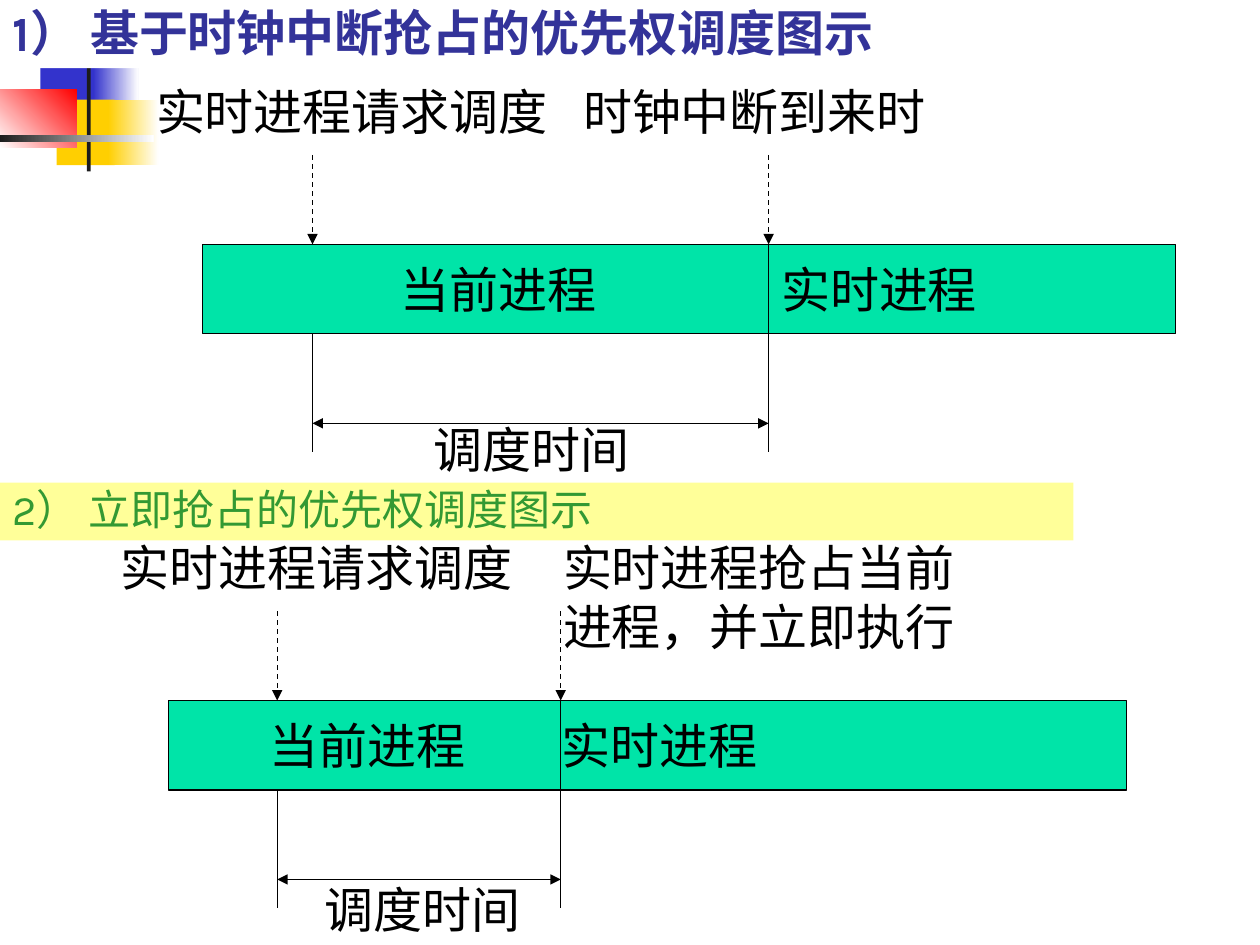
from lxml.etree import SubElement
from pptx import Presentation
from pptx.dml.color import RGBColor
from pptx.enum.dml import MSO_LINE
from pptx.enum.shapes import MSO_CONNECTOR, MSO_SHAPE
from pptx.enum.text import MSO_ANCHOR, MSO_AUTO_SIZE, PP_ALIGN
from pptx.oxml.ns import qn
from pptx.util import Inches, Pt

BLACK, WHITE, BLUE, YELLOW, DARK = "000000", "FFFFFF", "3333CC", "FFCF01", "1C1C1C"
GREEN = "00E4A8"
BODY = {"name": "Arial", "size": Pt(28), "bold": False, "color": BLACK}
TITLE = {"name": "Karla", "size": Pt(28), "bold": True, "color": "333399"}
SUBTITLE = {"name": "Karla", "size": Pt(24), "bold": False, "color": "339933"}


def rgb(value):
    return RGBColor.from_string(value)


class SlideBuilder:
    """Holds the current slide and draws its kinds of element."""

    def __init__(self, slide):
        self.slide = slide
        self.shapes = slide.shapes

    def set_text(self, shape, text, style, anchor, **frame_format):
        frame = shape.text_frame
        settings = {"word_wrap": True, "auto_size": MSO_AUTO_SIZE.NONE,
                    "vertical_anchor": anchor,
                    "margin_left": Inches(0.1), "margin_right": Inches(0.1),
                    "margin_top": Inches(0.05), "margin_bottom": Inches(0.05)}
        for name, value in {**settings, **frame_format}.items():
            setattr(frame, name, value)
        frame.text = text
        paragraph = frame.paragraphs[0]
        paragraph.alignment = PP_ALIGN.LEFT
        font = paragraph.runs[0].font
        for name, value in style.items():
            if name == "color":
                font.color.rgb = rgb(value)
            else:
                setattr(font, name, value)
        return paragraph

    def rectangle(self, left, top, width, height, fill, line=None):
        shape = self.shapes.add_shape(MSO_SHAPE.RECTANGLE, Inches(left), Inches(top),
                                      Inches(width), Inches(height))
        shape.shadow.inherit = False
        shape.fill.solid()
        shape.fill.fore_color.rgb = rgb(fill)
        if line:
            shape.line.color.rgb = rgb(line)
            shape.line.width = Pt(0.75)
        else:
            shape.line.fill.background()
        return shape

    def gradient(self, left, top, width, height, colors, angle=0):
        shape = self.rectangle(left, top, width, height, colors[0])
        shape.fill.gradient()
        shape.fill.gradient_angle = angle
        for stop, color in zip(shape.fill.gradient_stops, colors):
            stop.color.rgb = rgb(color)

    def title(self, text, left, top, width, height):
        shape = self.shapes.title
        place = {"left": left, "top": top, "width": width, "height": height}
        for name, value in place.items():
            setattr(shape, name, Inches(value))
        shape.fill.solid()
        shape.fill.fore_color.rgb = rgb(WHITE)
        self.set_text(shape, text, TITLE, MSO_ANCHOR.BOTTOM)
        # The title lies in front of the ornament
        shape._element.getparent().append(shape._element)

    def label(self, text, left, top, width, height=0.57):
        box = self.shapes.add_textbox(Inches(left), Inches(top), Inches(width), Inches(height))
        self.set_text(box, text, BODY, MSO_ANCHOR.TOP,
                      auto_size=MSO_AUTO_SIZE.SHAPE_TO_FIT_TEXT)

    def bar(self, left, top, width, height, names, name_lefts):
        """A process bar; the second name starts at a tab stop."""
        shape = self.rectangle(left, top, width, height, GREEN, BLACK)
        first, second = name_lefts
        paragraph = self.set_text(shape, "\t".join(names), BODY, MSO_ANCHOR.MIDDLE,
                                  margin_left=Inches(first - left))
        tabs = SubElement(paragraph._p.get_or_add_pPr(), qn("a:tabLst"))
        SubElement(tabs, qn("a:tab"), pos=str(Inches(second - first)), algn="l")

    def line(self, start, end, ends=(), dashed=False):
        points = [Inches(value) for value in (*start, *end)]
        connector = self.shapes.add_connector(MSO_CONNECTOR.STRAIGHT, *points)
        connector.line.color.rgb = rgb(BLACK)
        connector.line.width = Pt(0.75)
        if dashed:
            connector.line.dash_style = MSO_LINE.DASH
        for end_name in ends:
            SubElement(connector.line._get_or_add_ln(), qn(f"a:{end_name}"), type="triangle")
        SubElement(connector._element.spPr, qn("a:effectLst"))

    def schedule(self, bar_left, bar_top, bar_width, request, switch, name_lefts):
        """A process bar with its two moments and the time between them."""
        step = 0.71
        bottom = bar_top + step
        self.bar(bar_left, bar_top, bar_width, step, ("当前进程", "实时进程"), name_lefts)
        self.line((request, bottom), (request, bar_top + 1.65))
        self.line((switch, bar_top), (switch, bar_top + 1.65))
        self.line((request, bottom + step), (switch, bottom + step), ("headEnd", "tailEnd"))
        for moment in (request, switch):
            self.line((moment, bar_top - step), (moment, bar_top), ("tailEnd",), dashed=True)


def main():
    presentation = Presentation()
    presentation.slide_width, presentation.slide_height = Inches(10), Inches(7.5)
    builder = SlideBuilder(presentation.slides.add_slide(presentation.slide_layouts[5]))

    # Corner ornament
    builder.rectangle(0.32, 0.32, 0.48, 0.52, BLUE)
    builder.gradient(0.74, 0.32, 0.36, 0.52, (BLUE, WHITE))
    builder.rectangle(0.45, 0.79, 0.46, 0.52, YELLOW)
    builder.gradient(0.86, 0.79, 0.4, 0.52, (YELLOW, WHITE))
    builder.gradient(0, 0.71, 0.61, 0.46, (WHITE, "FF0000"), 45)
    builder.rectangle(0.69, 0.21, 0.03, 1.15, DARK)
    builder.gradient(0, 1.07, 1.22, 0.06, (DARK, WHITE))

    # Preemption at the clock interrupt
    builder.title("1） 基于时钟中断抢占的优先权调度图示", 0, 0, 8.52, 0.54)
    builder.schedule(1.61, 1.94, 7.72, 2.48, 6.1, (3.18, 6.2))
    builder.label("实时进程请求调度", 1.14, 0.6, 3.39)
    builder.label("时钟中断到来时", 4.53, 0.6, 3.39)
    builder.label("调度时间", 3.34, 3.28, 1.89)

    # Immediate preemption
    subtitle = builder.rectangle(0, 3.83, 8.52, 0.46, "FFFF99")
    builder.set_text(subtitle, "2） 立即抢占的优先权调度图示", SUBTITLE, MSO_ANCHOR.BOTTOM)
    builder.schedule(1.34, 5.56, 7.6, 2.2, 4.45, (2.14, 4.46))
    builder.label("实时进程请求调度", 0.86, 4.22, 3.39)
    builder.label("实时进程抢占当前进程，并立即执行", 4.37, 4.22, 3.39, 1.04)
    builder.label("调度时间", 2.48, 6.93, 1.89)

    presentation.save("out.pptx")


if __name__ == "__main__":
    main()
